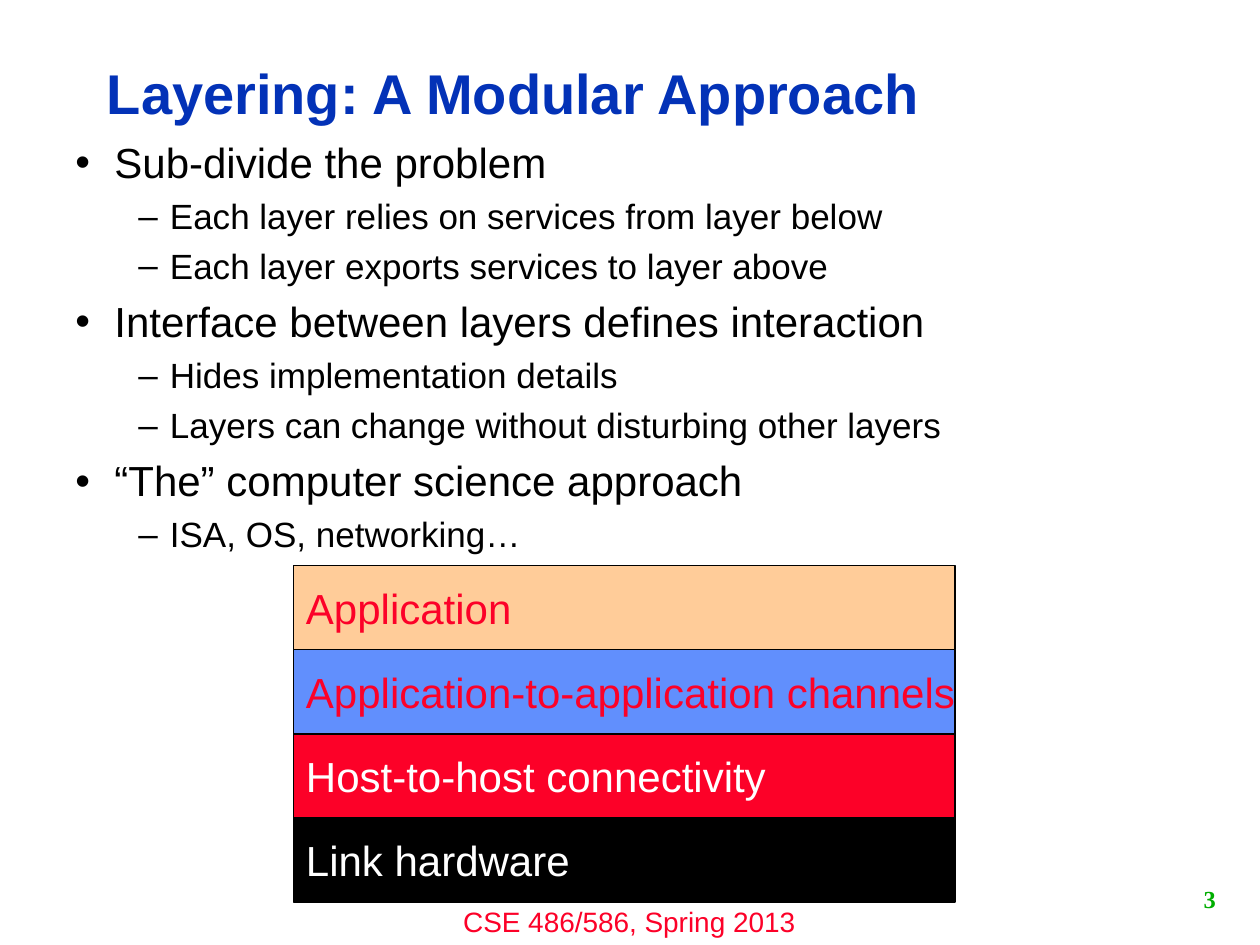
"""Build a slide on layering as a modular approach."""
from lxml.etree import SubElement
from pptx import Presentation
from pptx.dml.color import RGBColor
from pptx.enum.shapes import MSO_SHAPE
from pptx.enum.text import MSO_ANCHOR, PP_ALIGN
from pptx.oxml.ns import qn
from pptx.util import Inches, Pt

BLACK = RGBColor(0x00, 0x00, 0x00)
WHITE = RGBColor(0xFF, 0xFF, 0xFF)
RED = RGBColor(0xFC, 0x01, 0x28)
BLUE = RGBColor(0x61, 0x8F, 0xFD)
PEACH = RGBColor(0xFF, 0xCC, 0x99)
NAVY = RGBColor(0x03, 0x32, 0xB7)
GREEN = RGBColor(0x00, 0xAE, 0x00)

TITLE = "Layering: A Modular Approach"
FOOTER = "CSE 486/586, Spring 2013"
PAGE_NUMBER = "3"
POINTS = [
    (0, "Sub-divide the problem"),
    (1, "Each layer relies on services from layer below"),
    (1, "Each layer exports services to layer above"),
    (0, "Interface between layers defines interaction"),
    (1, "Hides implementation details"),
    (1, "Layers can change without disturbing other layers"),
    (0, "“The” computer science approach"),
    (1, "ISA, OS, networking…"),
]
LEVELS = [("•", 24, 0.31, -0.31), ("–", 20, 0.75, -0.25)]
LAYERS = [
    ("Application", PEACH, RED),
    ("Application-to-application channels", BLUE, RED),
    ("Host-to-host connectivity", RED, WHITE),
    ("Link hardware", BLACK, WHITE),
]
STACK_LEFT, STACK_TOP, STACK_WIDTH, STACK_HEIGHT = 2.33, 4.49, 5.25, 2.67


def style(paragraph, size, color, bold=False, font="Arial", align=PP_ALIGN.LEFT):
    paragraph.alignment = align
    for run in paragraph.runs:
        run.font.name = font
        run.font.size = Pt(size)
        run.font.bold = bold
        run.font.color.rgb = color


def add_text(slide, box, text, anchor=MSO_ANCHOR.TOP, wrap=True):
    frame = slide.shapes.add_textbox(*map(Inches, box)).text_frame
    frame.word_wrap = wrap
    frame.vertical_anchor = anchor
    frame.text = text
    return frame


def add_points(slide):
    body = add_text(slide, (0.5, 1.08, 9.25, 3.26), "\n".join(text for _, text in POINTS))
    for paragraph, (level, _) in zip(body.paragraphs, POINTS):
        bullet, size, margin, indent = LEVELS[level]
        paragraph.level = level
        paragraph.line_spacing = 0.9
        paragraph.space_before = Pt(round(size * 0.34, 1))
        style(paragraph, size, BLACK)
        properties = paragraph._p.get_or_add_pPr()
        properties.set("marL", str(Inches(margin)))
        properties.set("indent", str(Inches(indent)))
        SubElement(properties, qn("a:buFont"), typeface="Arial")
        SubElement(properties, qn("a:buChar"), char=bullet)


def add_stack(slide):
    height = STACK_HEIGHT / len(LAYERS)
    for row, (label, fill, color) in reversed(list(enumerate(LAYERS))):
        box = (STACK_LEFT, STACK_TOP + row * height, STACK_WIDTH, height)
        layer = slide.shapes.add_shape(MSO_SHAPE.RECTANGLE, *map(Inches, box))
        layer.shadow.inherit = False
        layer.fill.solid()
        layer.fill.fore_color.rgb = fill
        layer.line.color.rgb = BLACK
        layer.line.width = Pt(0.75)
        frame = layer.text_frame
        frame.word_wrap = False
        frame.vertical_anchor = MSO_ANCHOR.MIDDLE
        frame.text = label
        style(frame.paragraphs[0], 24, color)


def main():
    deck = Presentation()
    deck.slide_width, deck.slide_height = Inches(10), Inches(7.5)
    slide = deck.slides.add_slide(deck.slide_layouts[6])

    footer = add_text(slide, (3.33, 7.13, 3.33, 0.37), FOOTER)
    style(footer.paragraphs[0], 16, RED, align=PP_ALIGN.CENTER)
    number = add_text(slide, (8.75, 6.92, 1, 0.42), PAGE_NUMBER, MSO_ANCHOR.MIDDLE, False)
    style(number.paragraphs[0], 14, GREEN, True, "Times New Roman", PP_ALIGN.RIGHT)
    title = add_text(slide, (0.75, 0.36, 7.98, 0.81), TITLE, MSO_ANCHOR.MIDDLE)
    title.paragraphs[0].line_spacing = 0.9
    style(title.paragraphs[0], 32, NAVY, True)

    add_points(slide)
    add_stack(slide)
    deck.save("out.pptx")


if __name__ == "__main__":
    main()
